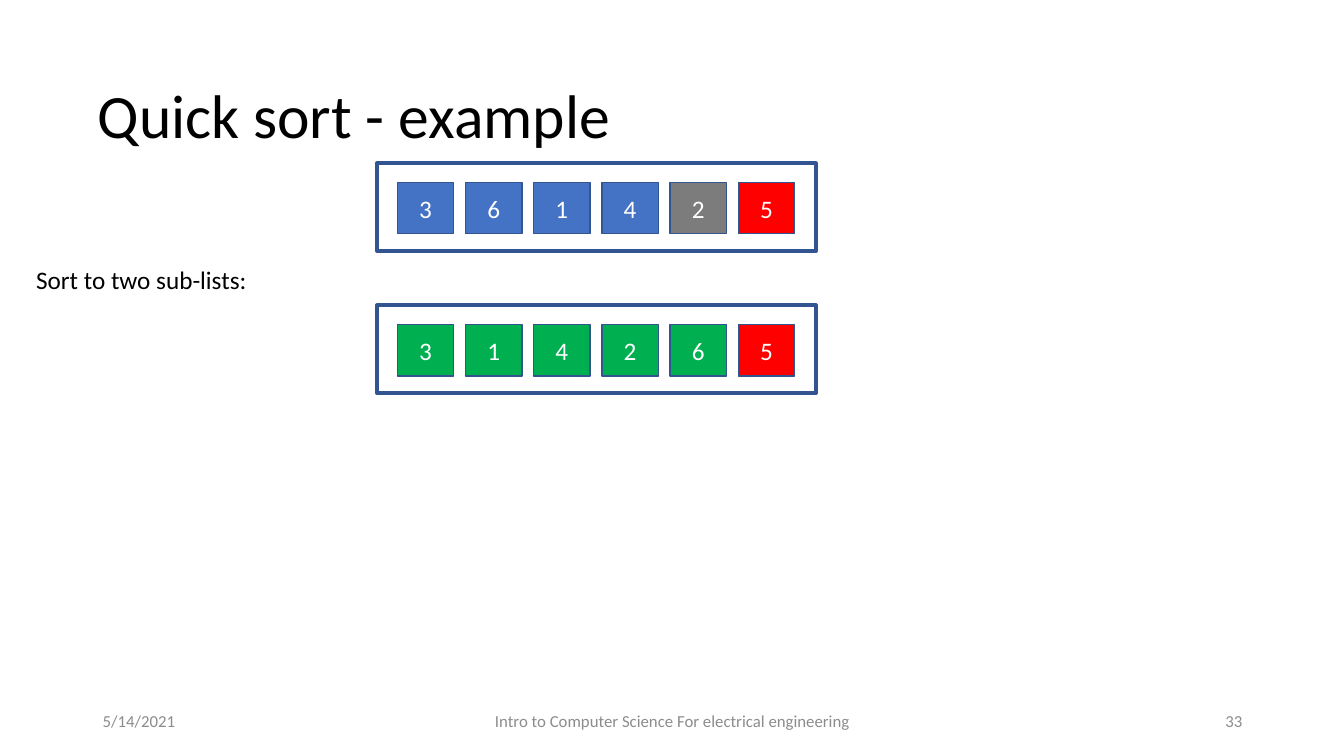
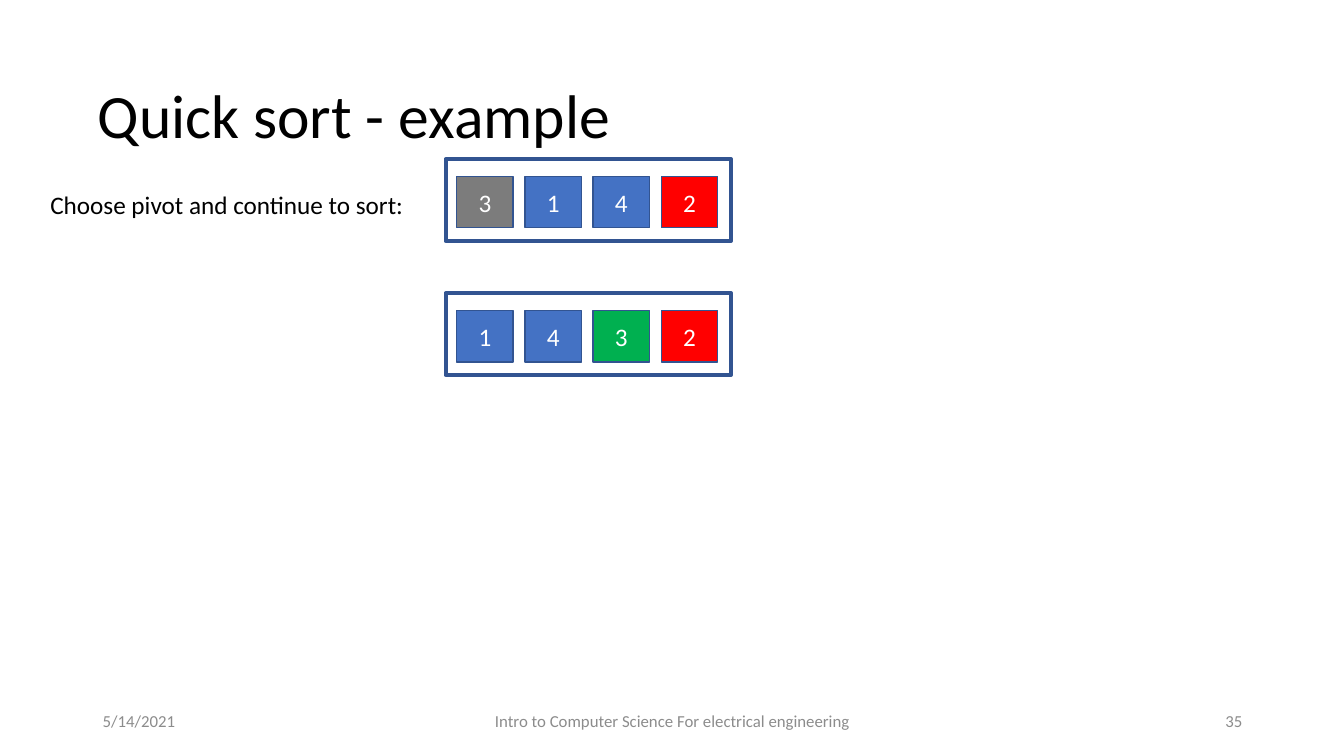
from pptx import Presentation
from pptx.dml.color import RGBColor
from pptx.enum.shapes import MSO_SHAPE as Shape
from pptx.enum.text import MSO_ANCHOR as Anchor, PP_ALIGN as Align
from pptx.util import Inches, Pt

# Shared style
FONT = "Calibri"
BLACK, WHITE, MUTED, EDGE = "000000", "FFFFFF", "8C8C8C", "325491"
FILLS = {"open": "4472C4", "next": "7C7C7C", "pivot": "FF0000", "done": "00B050"}
CELL_W, CELL_H = 0.56, 0.51
STEP = 2.03 / 3  # left edge of one cell to the next

# Shared text
TITLE = "Quick sort - example"
DATE = "5/14/2021"
COURSE = "Intro to Computer Science For electrical engineering"

# Content: each list holds (value, state) cells; frame is left, width, height
SLIDES = [
    {
        "page": 33,
        "note": ("Sort to two sub-lists:", 0.26, 2.57, 2.31),
        "frame": (3.74, 4.35, 0.87),
        "pad": (0.2, 0.19),
        "tops": (1.62, 3.03),
        "lists": [
            [(3, "open"), (6, "open"), (1, "open"), (4, "open"), (2, "next"), (5, "pivot")],
            [(3, "done"), (1, "done"), (4, "done"), (2, "done"), (6, "done"), (5, "pivot")],
        ],
    },
    {
        "page": 35,
        "note": ("Choose pivot and continue to sort:", 0.4, 1.83, 3.75),
        "frame": (4.42, 2.83, 0.81),
        "pad": (0.11, 0.17),
        "tops": (1.58, 2.91),
        "lists": [
            [(3, "next"), (1, "open"), (4, "open"), (2, "pivot")],
            [(1, "open"), (4, "open"), (3, "done"), (2, "pivot")],
        ],
    },
]


def color(code):
    return RGBColor.from_string(code)


def write(shape, text, size, ink, align=Align.LEFT, anchor=Anchor.MIDDLE):
    frame = shape.text_frame
    frame.vertical_anchor = anchor
    para = frame.paragraphs[0]
    para.text = text
    para.alignment = align
    para.font.name, para.font.size = FONT, Pt(size)
    para.font.color.rgb = color(ink)
    return para


def label(slide, box, text, size, ink, wrap=True, **style):
    shape = slide.shapes.add_textbox(*map(Inches, box))
    shape.text_frame.word_wrap = wrap
    return write(shape, text, size, ink, **style)


def rect(slide, box, line, fill=None):
    shape = slide.shapes.add_shape(Shape.RECTANGLE, *map(Inches, box))
    shape.shadow.inherit = False
    shape.line.color.rgb, shape.line.width = color(EDGE), Pt(line)
    if fill:
        shape.fill.solid()
        shape.fill.fore_color.rgb = color(fill)
    else:
        shape.fill.background()
    return shape


def base(slide, page):
    # Title and footer
    title = label(slide, (0.87, 0.45, 11.5, 1.45), TITLE, 44, BLACK)
    title.line_spacing = 0.9
    for left, width, text, align in (
        (0.92, 3, DATE, Align.LEFT),
        (4.42, 4.5, COURSE, Align.CENTER),
        (9.42, 3, str(page), Align.RIGHT),
    ):
        label(slide, (left, 6.95, width, 0.4), text, 12, MUTED, align=align)


def row(slide, frame, pad, top, cells):
    # Framed list of numbers
    left, width, height = frame
    rect(slide, (left, top, width, height), 3)
    for i, (value, state) in enumerate(cells):
        box = (left + pad[0] + i * STEP, top + pad[1], CELL_W, CELL_H)
        cell = rect(slide, box, 1, FILLS[state])
        write(cell, str(value), 18, WHITE, Align.CENTER)


def main():
    deck = Presentation()
    deck.slide_width, deck.slide_height = Inches(13.33), Inches(7.5)
    for data in SLIDES:
        slide = deck.slides.add_slide(deck.slide_layouts[6])
        base(slide, data["page"])
        for top, cells in zip(data["tops"], data["lists"]):
            row(slide, data["frame"], data["pad"], top, cells)
        text, left, top, width = data["note"]
        label(slide, (left, top, width, 0.4), text, 18, BLACK, wrap=False, anchor=Anchor.TOP)
    deck.save("out.pptx")


if __name__ == "__main__":
    main()
